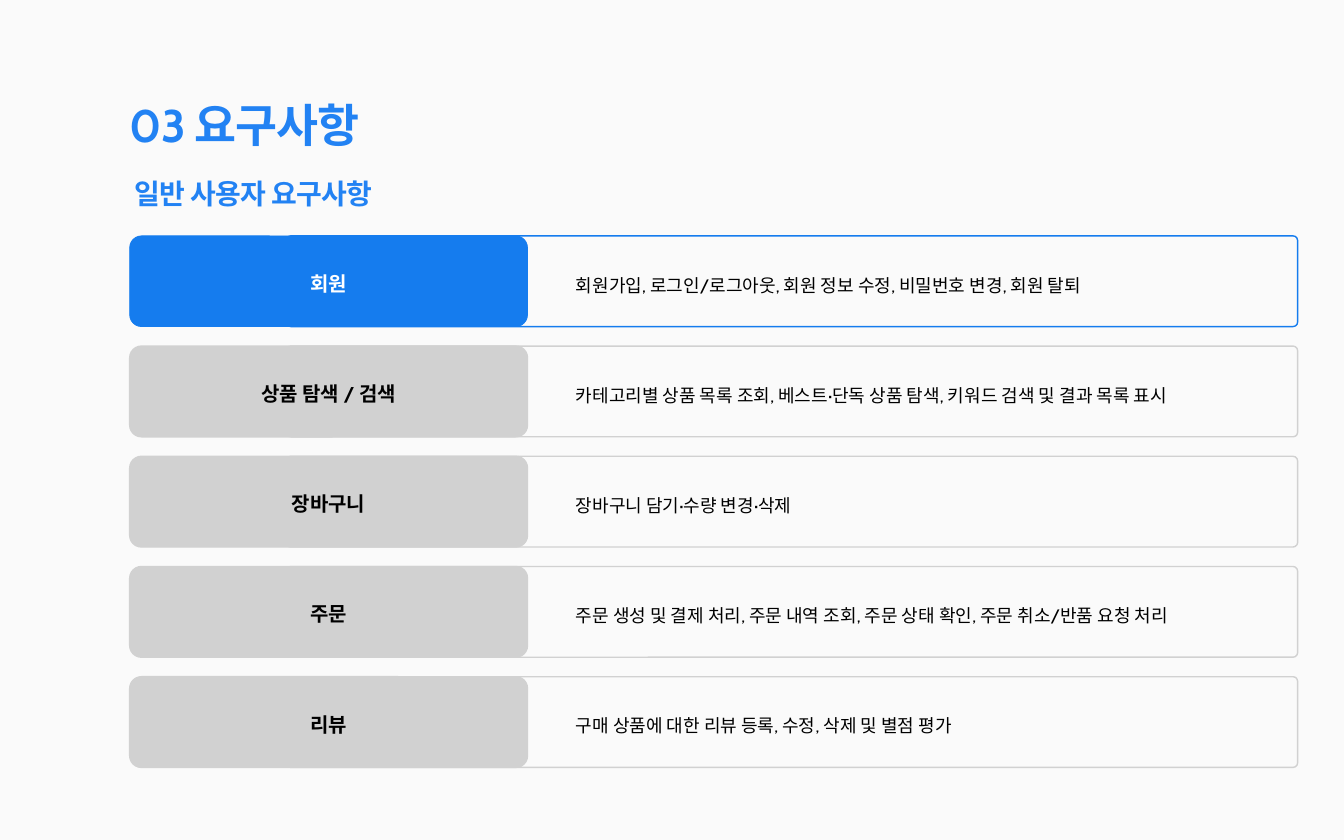
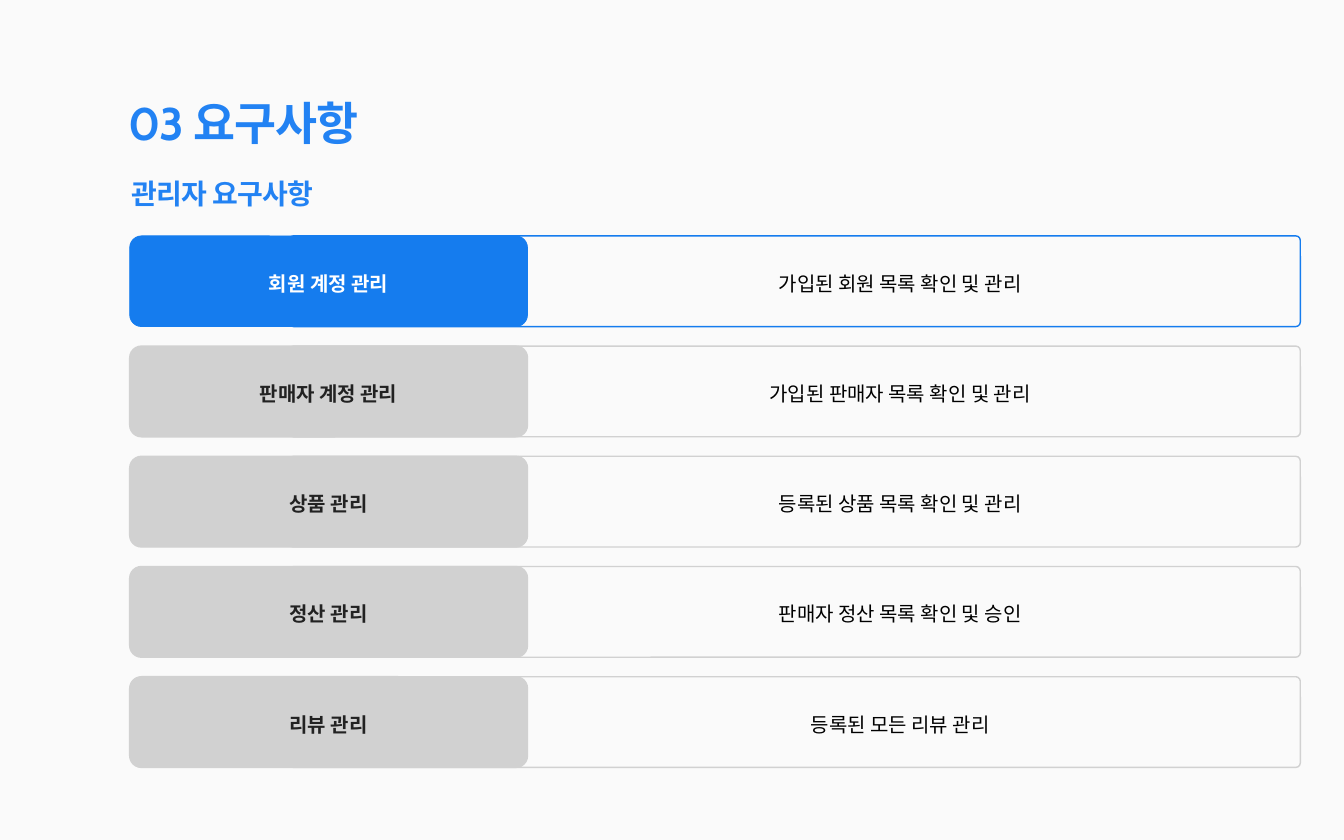
from dataclasses import dataclass

from lxml import etree
from pptx import Presentation
from pptx.dml.color import RGBColor
from pptx.enum.shapes import MSO_SHAPE
from pptx.enum.text import MSO_ANCHOR, MSO_AUTO_SIZE, PP_ALIGN
from pptx.oxml.ns import qn
from pptx.util import Pt

ROUNDED = MSO_SHAPE.ROUNDED_RECTANGLE
TOP = MSO_ANCHOR.TOP
GROW = MSO_AUTO_SIZE.SHAPE_TO_FIT_TEXT
LEFT, CENTER = PP_ALIGN.LEFT, PP_ALIGN.CENTER
TITLE_ONLY = 5
EMU_PER_PX = 9144  # 100 px to the inch


@dataclass(frozen=True)
class Theme:
    font: str = "Cabin"
    paper: str = "FAFAFA"
    heading: str = "2282F3"
    active: str = "157CEE"
    idle: str = "D1D1D1"
    white: str = "FFFFFF"
    black: str = "000000"
    charcoal: str = "222222"
    title_size: float = 48.9
    subtitle_size: float = 30
    label_size: float = 21.4
    detail_size: float = 19.3
    line_ratio: float = 1.6
    thin: float = 0.75
    thick: float = 1.5


THEME = Theme()

ROW_BOX = (193, 351, 1738, 135)
ROW_PITCH = 164
LABEL_WIDTH = 592
PANEL_WIDTH = 1505
LABEL_RADIUS, PANEL_RADIUS = 18, 7

SLIDES = [
    dict(
        title_box=(-75, 117, 878, 102),
        subtitle="일반 사용자 요구사항",
        subtitle_box=(15, 246, 725, 64),
        panel_left=233,
        label_color=THEME.black,
        detail_box=(664, 46, 1134, 39),
        detail_format=dict(size=THEME.detail_size, align=LEFT),
        rows=[
            ("회원", "회원가입, 로그인/로그아웃, 회원 정보 수정, 비밀번호 변경, 회원 탈퇴"),
            ("상품 탐색 / 검색",
             "카테고리별 상품 목록 조회, 베스트·단독 상품 탐색, 키워드 검색 및 결과 목록 표시"),
            ("장바구니", "장바구니 담기·수량 변경·삭제"),
            ("주문", "주문 생성 및 결제 처리, 주문 내역 조회, 주문 상태 확인, 주문 취소/반품 요청 처리"),
            ("리뷰", "구매 상품에 대한 리뷰 등록, 수정, 삭제 및 별점 평가"),
        ],
    ),
    dict(
        title_box=(-77, 114, 878, 102),
        subtitle="관리자 요구사항",
        subtitle_box=(-31, 246, 725, 64),
        panel_left=237,
        label_color=THEME.charcoal,
        detail_box=(631, 41, 1031, 44),
        detail_format=dict(size=THEME.label_size, align=CENTER),
        rows=[
            ("회원 계정 관리", "가입된 회원 목록 확인 및 관리"),
            ("판매자 계정 관리", "가입된 판매자 목록 확인 및 관리"),
            ("상품 관리", "등록된 상품 목록 확인 및 관리"),
            ("정산 관리", "판매자 정산 목록 확인 및 승인"),
            ("리뷰 관리", "등록된 모든 리뷰 관리"),
        ],
    ),
]


def px(*lengths):
    return [length * EMU_PER_PX for length in lengths]


def rgb(color):
    return RGBColor.from_string(color)


def set_all(target, formats):
    for name, value in formats.items():
        setattr(target, name, value)


def write(shape, text, size, color, bold=False, align=CENTER, spacing=0):
    """Fill a text shape with one styled paragraph."""
    frame = shape.text_frame
    set_all(frame, dict(margin_left=0, margin_top=0, margin_right=0, margin_bottom=0,
                        word_wrap=True, vertical_anchor=TOP, auto_size=GROW))
    para = frame.paragraphs[0]
    set_all(para, dict(alignment=align, line_spacing=Pt(round(size * THEME.line_ratio, 1))))
    span = para.add_run()
    span.text = text
    set_all(span.font, dict(name=THEME.font, size=Pt(size), bold=bold))
    span.font.color.rgb = rgb(color)
    properties = span._r.get_or_add_rPr()
    for script in ("a:ea", "a:cs"):
        etree.SubElement(properties, qn(script)).set("typeface", THEME.font)
    if spacing:
        properties.set("spc", str(round(spacing * 100)))


def add_text(slide, box, text, **style):
    write(slide.shapes.add_textbox(*px(*box)), text, **style)


def add_card(slide, box, radius, fill, line, width):
    card = slide.shapes.add_shape(ROUNDED, *px(*box))
    card.adjustments[0] = round(radius / box[3], 2)
    card.shadow.inherit = False
    card.fill.solid()
    card.fill.fore_color.rgb = rgb(fill)
    card.line.color.rgb = rgb(line)
    card.line.width = Pt(width)


def add_heading(slide, page):
    title = slide.shapes.title
    set_all(title, dict(zip(("left", "top", "width", "height"), px(*page["title_box"]))))
    write(title, "03 요구사항", THEME.title_size, THEME.heading, bold=True, spacing=-1.1)
    add_text(slide, page["subtitle_box"], page["subtitle"], size=THEME.subtitle_size,
             color=THEME.heading, bold=True, spacing=-0.7)


def add_requirement(slide, box, page, label, detail, active):
    """Draw one row: outlined detail panel with a filled label card over its left end."""
    left, top, _, height = box
    accent = THEME.active if active else THEME.idle
    add_card(slide, (left + page["panel_left"], top, PANEL_WIDTH, height),
             PANEL_RADIUS, THEME.paper, accent, THEME.thick)
    add_card(slide, (left, top, LABEL_WIDTH, height), LABEL_RADIUS, accent, accent,
             THEME.thin if active else THEME.thick)
    add_text(slide, (left + 153, top + 41, 286, 44), label, size=THEME.label_size,
             color=THEME.white if active else page["label_color"], bold=True)
    detail_left, detail_top, detail_width, detail_height = page["detail_box"]
    add_text(slide, (left + detail_left, top + detail_top, detail_width, detail_height),
             detail, color=THEME.black, **page["detail_format"])


def add_requirements_slide(deck, page):
    slide = deck.slides.add_slide(deck.slide_layouts[TITLE_ONLY])
    add_heading(slide, page)
    left, top, width, height = ROW_BOX
    for index, (label, detail) in enumerate(page["rows"]):
        box = (left, top + index * ROW_PITCH, width, height)
        add_requirement(slide, box, page, label, detail, active=index == 0)


def main():
    deck = Presentation()
    deck.slide_width, deck.slide_height = px(2000, 1250)
    background = deck.slide_master.background.fill
    background.solid()
    background.fore_color.rgb = rgb(THEME.paper)
    for page in SLIDES:
        add_requirements_slide(deck, page)
    deck.save("out.pptx")


if __name__ == "__main__":
    main()
